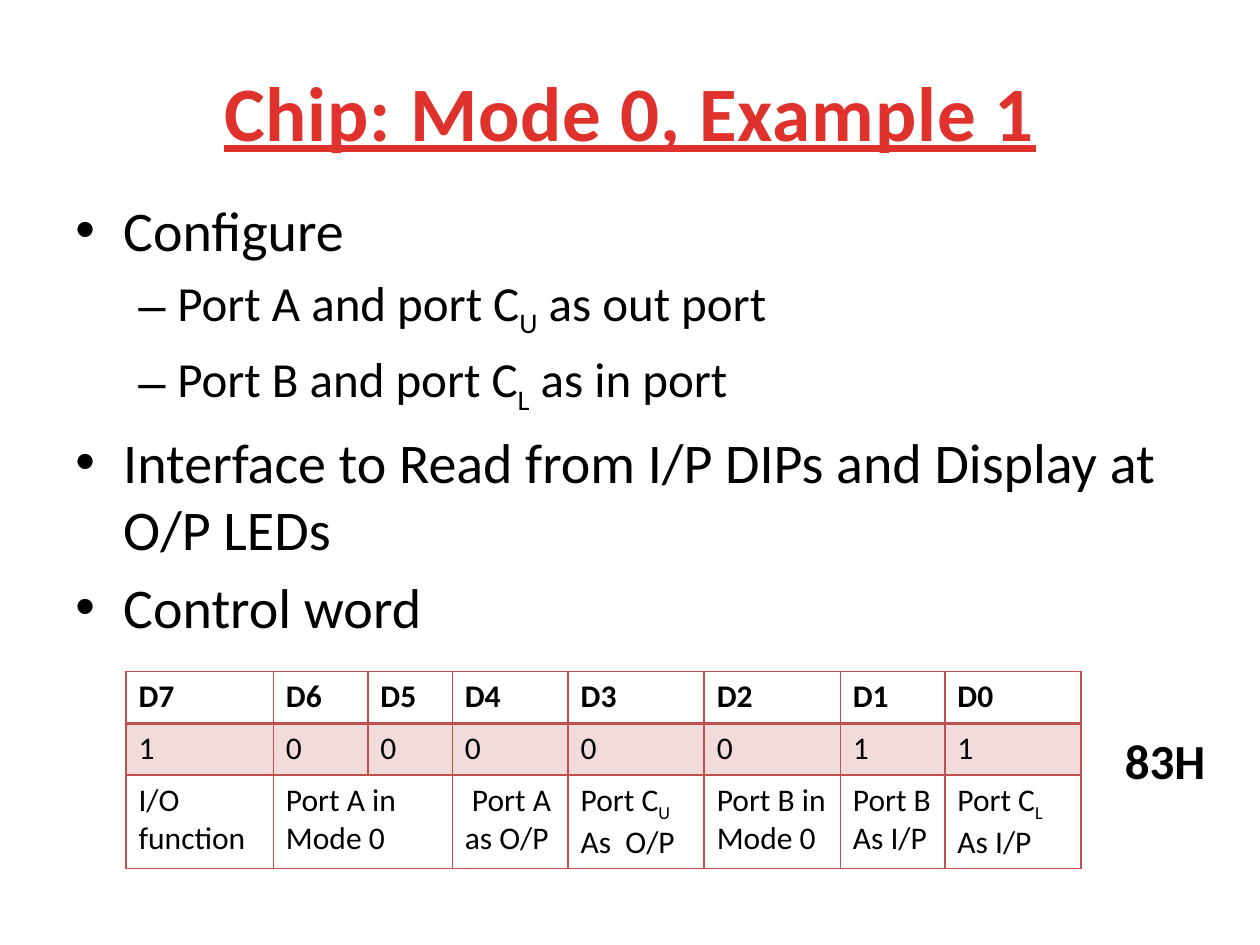
"""Build the chip Mode 0 example slide."""
from lxml.etree import SubElement as Sub
from pptx import Presentation
from pptx.dml.color import RGBColor as RGB
from pptx.enum.text import MSO_ANCHOR as Anchor, PP_ALIGN as Align
from pptx.oxml.ns import qn
from pptx.util import Inches as In, Pt

TITLE = "Chip: Mode 0, Example 1"
CODE = "83H"
BODY = [
    (0, "Configure"),
    (1, "Port A and port C_U_ as out port"),
    (1, "Port B and port C_L_ as in port"),
    (0, "Interface to Read from I/P DIPs and Display at O/P LEDs"),
    (0, "Control word"),
]
LEVELS = [("•", 32, 0.38, 0.38), ("–", 28, 0.81, 0.31)]
BITS = [
    ["D7", "D6", "D5", "D4", "D3", "D2", "D1", "D0"],
    ["1", "0", "0", "0", "0", "0", "1", "1"],
    ["I/O\nfunction", "Port A in Mode 0", "", " Port A as O/P", "Port C_U_\nAs  O/P",
     "Port B in\nMode 0", "Port B\nAs I/P", "Port C_L_\nAs I/P"],
]
COLS = [1.17, 0.75, 0.67, 0.92, 1.08, 1.08, 0.83, 1.08]
ROWS = [0.41, 0.41, 0.69]
INK, RED, RULE, TINT = "000000", "E0322D", "C0504D", "F2DCDB"


def color(code):
    return RGB.from_string(code)


def write(para, text, size, bold=False, ink=INK):
    for i, part in enumerate(text.split("_")):
        if not part:
            continue
        run = para.add_run()
        run.text = part
        font = run.font
        font.name, font.size, font.bold = "Calibri", Pt(size), bold
        font.color.rgb = color(ink)
        if i % 2:
            run._r.get_or_add_rPr().set("baseline", "-25000")


def fill_lines(frame, text, size, bold=False):
    for i, line in enumerate(text.split("\n")):
        para = frame.add_paragraph() if i else frame.paragraphs[0]
        write(para, line, size, bold)


def add_box(slide, left, top, width, height):
    frame = slide.shapes.add_textbox(In(left), In(top), In(width), In(height)).text_frame
    frame.word_wrap = True
    return frame


def add_title(slide):
    title = slide.shapes.title
    title.left, title.top, title.width, title.height = In(0.5), In(0.25), In(9), In(1.25)
    frame = title.text_frame
    frame.vertical_anchor = Anchor.MIDDLE
    para = frame.paragraphs[0]
    para.alignment = Align.CENTER
    write(para, TITLE, 44, True, RED)
    run = para.runs[0]
    run.font.underline = True
    run._r.get_or_add_rPr().set("spc", "50")


def add_body(slide):
    frame = add_box(slide, 0.5, 1.5, 9, 4.95)
    for i, (level, text) in enumerate(BODY):
        mark, size, left, hang = LEVELS[level]
        para = frame.add_paragraph() if i else frame.paragraphs[0]
        para.level = level
        para.space_before = Pt(0.2 * size if i else 0)
        props = para._p.get_or_add_pPr()
        props.set("marL", str(In(left)))
        props.set("indent", str(-In(hang)))
        Sub(props, qn("a:buFont"), typeface="Arial")
        Sub(props, qn("a:buChar"), char=mark)
        write(para, text, size)


def edge(cell, heavy):
    props = cell._tc.get_or_add_tcPr()
    for side in "LRTB":
        width = 2 if side == heavy else 1
        line = Sub(props, qn(f"a:ln{side}"), w=str(Pt(width)))
        Sub(Sub(line, qn("a:solidFill")), qn("a:srgbClr"), val=RULE)


def add_bits(slide):
    table = slide.shapes.add_table(len(ROWS), len(COLS), In(1), In(5.33),
                                   In(sum(COLS)), In(sum(ROWS))).table
    table.first_row = table.horz_banding = False
    for col, width in zip(table.columns, COLS):
        col.width = In(width)
    for row, height in zip(table.rows, ROWS):
        row.height = In(height)
    table.cell(2, 1).merge(table.cell(2, 2))
    for r, texts in enumerate(BITS):
        for c, text in enumerate(texts):
            cell = table.cell(r, c)
            edge(cell, {0: "B", 1: "T"}.get(r))
            if r == 1:
                cell.fill.solid()
                cell.fill.fore_color.rgb = color(TINT)
            else:
                cell.fill.background()
            fill_lines(cell.text_frame, text, 18, r == 0)


def main():
    deck = Presentation()
    deck.slide_width, deck.slide_height = In(10), In(7.5)
    slide = deck.slides.add_slide(deck.slide_layouts[5])
    add_title(slide)
    add_body(slide)
    add_bits(slide)
    fill_lines(add_box(slide, 8.83, 5.75, 1, 0.57), CODE, 28, True)
    deck.save("out.pptx")


if __name__ == "__main__":
    main()
